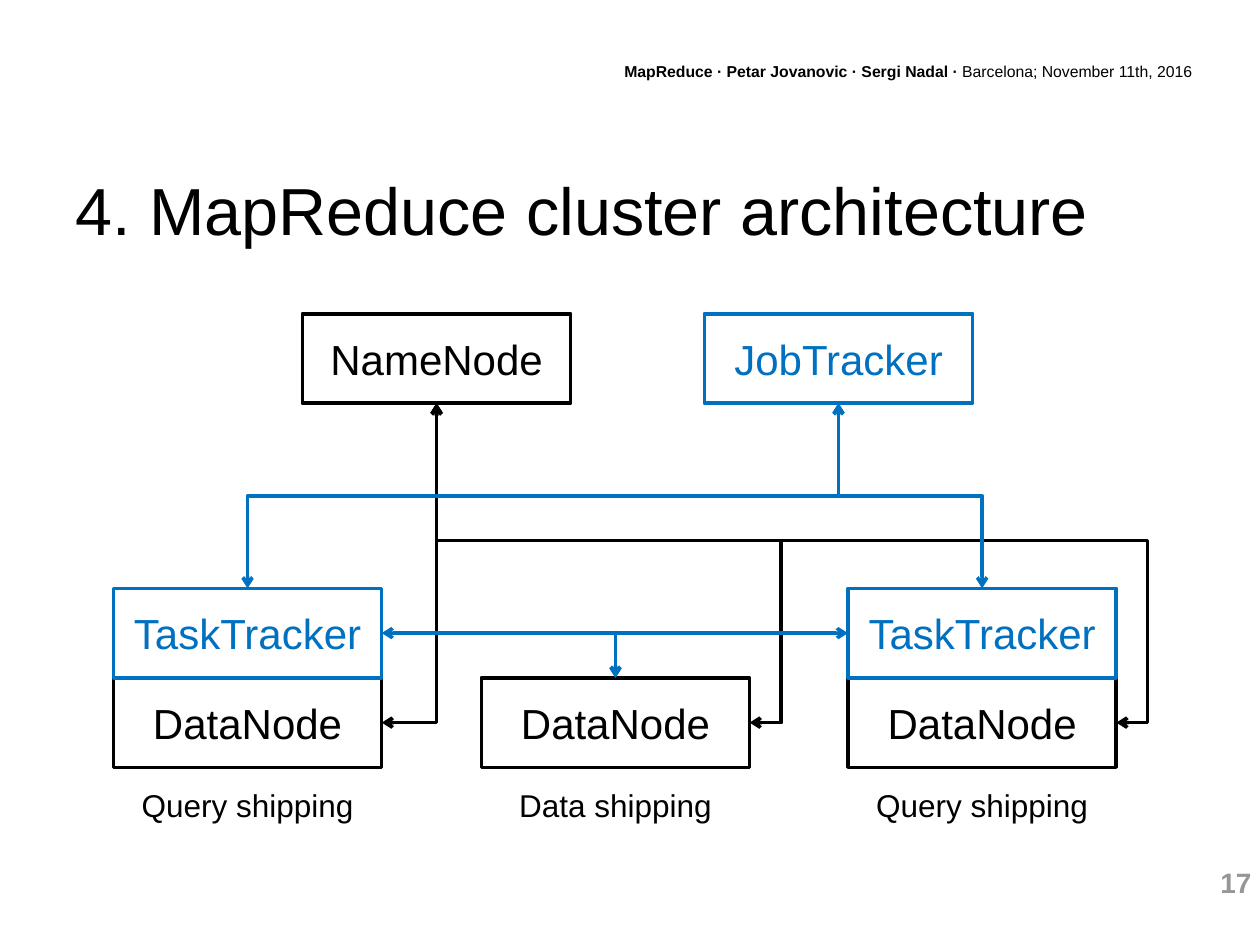
from pptx import Presentation
from pptx.dml.color import RGBColor
from pptx.enum.shapes import MSO_CONNECTOR, MSO_SHAPE
from pptx.enum.text import MSO_ANCHOR, PP_ALIGN
from pptx.oxml.ns import qn
from pptx.util import Inches, Pt
from lxml import etree

BLACK = RGBColor(0x00, 0x00, 0x00)
BLUE = RGBColor(0x00, 0x70, 0xC0)
GRAY = RGBColor(0x96, 0x96, 0x96)
RECTANGLE = MSO_SHAPE.RECTANGLE
ELBOW = MSO_CONNECTOR.ELBOW
LEFT, CENTER, RIGHT = PP_ALIGN.LEFT, PP_ALIGN.CENTER, PP_ALIGN.RIGHT
TOP, MIDDLE = MSO_ANCHOR.TOP, MSO_ANCHOR.MIDDLE
TOP_SIDE, LEFT_SIDE, BOTTOM_SIDE, RIGHT_SIDE = range(4)

BOX_WIDTH, BOX_HEIGHT = 2.13, 0.71
COLUMNS = (0.9, 3.82, 6.73)
MASTER_TOP, TRACKER_TOP = 2.49, 4.67
DATA_TOP = TRACKER_TOP + BOX_HEIGHT
BRANCH = 0.43
DETOUR = Inches(0.25)


class ClusterSlide:
    font = "Arial"
    line_width = Pt(2)

    def __init__(self, presentation):
        self.slide = presentation.slides.add_slide(presentation.slide_layouts[6])
        self.shapes = self.slide.shapes

    def set_text(self, frame, pieces, size, color, align, anchor):
        frame.word_wrap = True
        frame.vertical_anchor = anchor
        paragraph = frame.paragraphs[0]
        paragraph.alignment = align
        for words, bold in pieces:
            run = paragraph.add_run()
            run.text = words
            run.font.name = self.font
            run.font.size = Pt(size)
            run.font.bold = bold
            run.font.color.rgb = color

    def text(self, place, pieces, size, color=BLACK, align=LEFT, anchor=TOP):
        box = self.shapes.add_textbox(*map(Inches, place))
        self.set_text(box.text_frame, pieces, size, color, align, anchor)

    def node(self, label, left, top, color=BLACK):
        box = self.shapes.add_shape(
            RECTANGLE, *map(Inches, (left, top, BOX_WIDTH, BOX_HEIGHT)))
        box.shadow.inherit = False
        box.fill.background()
        box.line.color.rgb = color
        box.line.width = self.line_width
        self.set_text(box.text_frame, [(label, False)], 24, color, CENTER, MIDDLE)
        return box

    def link(self, start, start_side, end, end_side, bends, color=BLACK):
        link = self.shapes.add_connector(ELBOW, 0, 0, 0, 0)
        link.begin_connect(start, start_side)
        link.end_connect(end, end_side)
        link.line.color.rgb = color
        link.line.width = self.line_width
        outline = link._element.spPr.find(qn("a:ln"))
        for tip in ("a:headEnd", "a:tailEnd"):
            etree.SubElement(outline, qn(tip), type="arrow")
        etree.SubElement(link._element.spPr, qn("a:effectLst"))
        self.turn(link, bends)

    def turn(self, link, bends):
        across = link.end_x - link.begin_x
        down = link.end_y - link.begin_y
        center_x = (link.begin_x + link.end_x) // 2
        center_y = (link.begin_y + link.end_y) // 2
        link.width, link.height = abs(down), abs(across)
        link.left = center_x - link.width // 2
        link.top = center_y - link.height // 2

        frame = link._element.spPr.find(qn("a:xfrm"))
        frame.set("rot", "5400000" if down > 0 > across else "16200000")
        frame.set("flipH", str(int(down > 0 and across > 0)))
        frame.set("flipV", str(int(down < 0 and across < 0)))

        geometry = link._element.spPr.find(qn("a:prstGeom"))
        geometry.set("prst", f"bentConnector{bends + 1}")
        ratios = {1: [], 2: [0.5], 3: [BRANCH, 1 + DETOUR / abs(across)]}[bends]
        guides = geometry.find(qn("a:avLst"))
        for number, ratio in enumerate(ratios, 1):
            etree.SubElement(guides, qn("a:gd"), name=f"adj{number}",
                             fmla=f"val {round(ratio * 100000)}")


def main():
    presentation = Presentation()
    presentation.slide_width = Inches(10)
    presentation.slide_height = Inches(7.5)
    page = ClusterSlide(presentation)

    page.text((8.76, 6.82, 1.27, 0.37), [("17", True)], 16, GRAY, RIGHT)
    page.text((4.76, 0.44, 4.8, 0.25),
              [("MapReduce · Petar Jovanovic · Sergi Nadal · ", True),
               ("Barcelona; November 11th, 2016", False)], 9, align=RIGHT)
    page.text((0.5, 1.23, 9, 0.86),
              [("4. MapReduce cluster architecture", False)], 38, anchor=MIDDLE)

    name_node = page.node("NameNode", 2.4, MASTER_TOP)
    data_nodes = [page.node("DataNode", left, DATA_TOP) for left in COLUMNS]
    job_tracker = page.node("JobTracker", 5.59, MASTER_TOP, BLUE)
    task_trackers = [page.node("TaskTracker", left, TRACKER_TOP, BLUE)
                     for left in COLUMNS[::2]]

    for data_node, bends in zip(data_nodes, (1, 3, 3)):
        page.link(name_node, BOTTOM_SIDE, data_node, RIGHT_SIDE, bends)
    for tracker, inner_side in zip(task_trackers, (RIGHT_SIDE, LEFT_SIDE)):
        page.link(job_tracker, BOTTOM_SIDE, tracker, TOP_SIDE, 2, BLUE)
        page.link(data_nodes[1], TOP_SIDE, tracker, inner_side, 1, BLUE)

    for left, shipping in zip(COLUMNS, ("Query", "Data", "Query")):
        page.text((left, 6.19, BOX_WIDTH, 0.4),
                  [(f"{shipping} shipping", False)], 18, align=CENTER)

    presentation.save("out.pptx")


if __name__ == "__main__":
    main()
